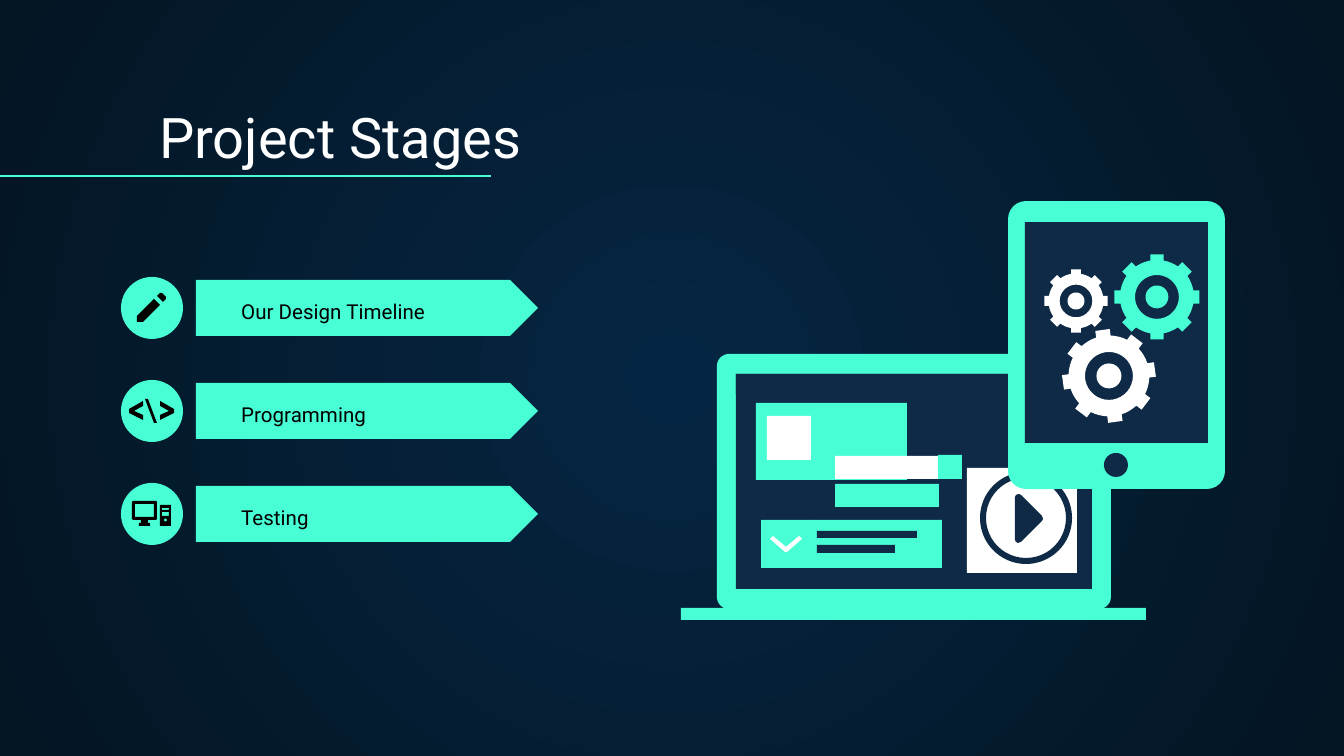
"""Build the Project Stages slide: three stage arrows beside a laptop and a tablet."""
from math import asin, cos, degrees, radians, sin

from lxml.etree import SubElement
from pptx import Presentation
from pptx.dml.color import RGBColor
from pptx.enum.shapes import MSO_CONNECTOR as Connector, MSO_SHAPE as Shape
from pptx.enum.text import MSO_ANCHOR as Anchor
from pptx.oxml.ns import qn
from pptx.util import Inches, Pt

PX = 914400 / 134.4
FONT = "Roboto"
COLORS = {
    "mint": "48FFD5", "navy": "0E2A47", "white": "FFFFFF", "black": "000000",
    "center": "052643", "edge": "041523",
}

TITLE = ("Project Stages", (146, 94, 1152, 89), 30, "white")
STAGES = ["Our Design Timeline", "Programming", "Testing"]
STAGE_TOP, STAGE_STEP = 280, 103

DEVICES = [
    (Shape.ROUNDED_RECTANGLE, (717, 354, 394, 255), "mint", 12),
    (Shape.RECTANGLE, (736, 374, 356, 215), "navy", 0),
    (Shape.RECTANGLE, (681, 608, 465, 12), "mint", 0),
    (Shape.RECTANGLE, (736, 374, 356, 20), "navy", 0),
    (Shape.RECTANGLE, (756, 403, 151, 77), "mint", 0),
    (Shape.RECTANGLE, (767, 416, 44, 44), "white", 0),
    (Shape.RECTANGLE, (809, 520, 133, 48), "mint", 0),
    (Shape.RECTANGLE, (817, 531, 100, 7), "navy", 0),
    (Shape.RECTANGLE, (817, 545, 78, 8), "navy", 0),
    (Shape.RECTANGLE, (761, 520, 48, 48), "mint", 0),
    (Shape.RECTANGLE, (835, 484, 104, 23), "mint", 0),
    (Shape.RECTANGLE, (835, 456, 104, 23), "white", 0),
    (Shape.RECTANGLE, (938, 455, 24, 24), "mint", 0),
    (Shape.RECTANGLE, (967, 468, 110, 105), "white", 0),
    (Shape.DONUT, (980, 472, 92, 92), "navy", 6),
    (Shape.ROUNDED_RECTANGLE, (1008, 201, 217, 288), "mint", 18),
    (Shape.RECTANGLE, (1025, 222, 183, 221), "navy", 0),
    (Shape.OVAL, (1104, 453, 24, 24), "navy", 0),
]
GEARS = [
    ((1157, 297), 43, 0, "mint"),
    ((1076, 301), 32, 0, "white"),
    ((1109, 376), 47, -8, "white"),
]
TEETH = 8

CHEVRON = [(773, 536), (786, 547), (799, 536), (802, 539), (787, 552), (785, 552), (770, 539)]
PLAY = [(1015, 497), (1016, 495), (1019, 494), (1021, 495), (1042, 516), (1043, 519),
        (1042, 521), (1021, 542), (1018, 543), (1016, 542), (1015, 540)]
PENCIL_HEAD = [(157, 296), (160, 293), (162, 293), (166, 297), (166, 299), (163, 302)]
PENCIL_BODY = [(154, 299), (137, 316), (137, 322), (143, 322), (160, 305)]
BRACKET = [(143, 420), (129, 413), (129, 409), (143, 401), (143, 406), (134, 411), (143, 415)]
SLASH = [(145, 399), (148, 399), (157, 423), (154, 423)]
MONITOR = [(133, 501), (156, 501), (157, 502), (157, 519), (156, 520), (148, 520), (148, 523),
           (150, 523), (150, 526), (139, 526), (139, 523), (141, 523), (141, 520), (133, 520),
           (132, 519), (132, 502)]


def px(length):
    return round(length * PX)


def color(name):
    return RGBColor.from_string(COLORS[name])


def polar(center, radius, angle):
    turn = radians(angle)
    return center[0] + radius * sin(turn), center[1] - radius * cos(turn)


def circle(center, radius):
    return [polar(center, radius, angle) for angle in range(0, 360, 10)]


def box(left, top, right, bottom):
    return [(left, top), (right, top), (right, bottom), (left, bottom)]


def gear(center, radius, tilt):
    root, half_tooth = 0.86, 0.155
    tip_angle = degrees(asin(half_tooth))
    root_angle = degrees(asin(half_tooth / root))
    pitch = 360 / TEETH
    valley = pitch - 2 * root_angle
    rim = []
    for tooth in range(TEETH):
        middle = tilt + tooth * pitch
        rim += [polar(center, radius, middle + side * tip_angle) for side in (-1, 1)]
        rim += [polar(center, radius * root, middle + root_angle + valley * step / 4)
                for step in range(5)]
    return [rim, circle(center, radius * 0.51), circle(center, radius * 0.265)]


def paint(shape, fill):
    shape.shadow.inherit = False
    shape.fill.solid()
    shape.fill.fore_color.rgb = color(fill)
    shape.line.fill.background()


def add_preset(slide, kind, frame, fill, edge=0):
    shape = slide.shapes.add_shape(kind, *map(px, frame))
    if edge:
        shape.adjustments[0] = edge / min(frame[2:])
    paint(shape, fill)


def add_outline(slide, contours, fill):
    builder = None
    for contour in contours:
        start, *rest = [(px(x), px(y)) for x, y in contour]
        if builder is None:
            builder = slide.shapes.build_freeform(*start, scale=1.0)
        else:
            builder.move_to(*start)
        builder.add_line_segments(rest, close=True)
    paint(builder.convert_to_shape(), fill)


def add_label(slide, text, frame, size, ink):
    text_frame = slide.shapes.add_textbox(*map(px, frame)).text_frame
    text_frame.word_wrap = True
    text_frame.vertical_anchor = Anchor.BOTTOM
    text_frame.margin_left = text_frame.margin_right = Inches(0.1)
    text_frame.margin_top = text_frame.margin_bottom = Inches(0.1)
    run = text_frame.paragraphs[0].add_run()
    run.text = text
    run.font.name, run.font.size = FONT, Pt(size)
    run.font.color.rgb = color(ink)


def set_background(slide):
    fill = slide.background.fill
    fill.gradient()
    for stop, name, position in zip(fill.gradient_stops, ("center", "edge"), (0, 1)):
        stop.color.rgb = color(name)
        stop.position = position
    gradient = slide.element.find(".//" + qn("a:gradFill"))
    gradient.remove(gradient.find(qn("a:lin")))
    radial = SubElement(gradient, qn("a:path"), {"path": "circle"})
    SubElement(radial, qn("a:fillToRect"), dict.fromkeys("ltrb", "50000"))


def add_title_rule(slide):
    rule = slide.shapes.add_connector(Connector.STRAIGHT, 0, px(176), px(491), px(176))
    rule.line.color.rgb = color("mint")
    rule.line.width = Pt(0.75)
    SubElement(rule.element.spPr, qn("a:effectLst"))


def main():
    deck = Presentation()
    deck.slide_width, deck.slide_height = px(1344), px(756)
    slide = deck.slides.add_slide(deck.slide_layouts[6])
    set_background(slide)
    add_label(slide, *TITLE)
    add_title_rule(slide)
    for row, stage in enumerate(STAGES):
        top = STAGE_TOP + row * STAGE_STEP
        add_preset(slide, Shape.PENTAGON, (196, top, 342, 56), "mint")
        add_preset(slide, Shape.OVAL, (121, top - 3, 62, 62), "mint")
        add_label(slide, stage, (228, top + 8, 305, 48), 11, "black")

    closing_bracket = [(303 - x, y) for x, y in BRACKET]
    tower = [box(160, 505, 171, 526), box(162, 508, 169, 510),
             box(162, 512, 169, 516), circle((165.5, 520), 1.5)]
    icons = [[PENCIL_HEAD, PENCIL_BODY], [BRACKET], [SLASH], [closing_bracket],
             [MONITOR, box(135, 504, 154, 517)], tower]
    for icon in icons:
        add_outline(slide, icon, "black")

    for device_part in DEVICES:
        add_preset(slide, *device_part)
    add_outline(slide, [CHEVRON], "white")
    add_outline(slide, [PLAY], "navy")
    for center, radius, tilt, fill in GEARS:
        add_outline(slide, gear(center, radius, tilt), fill)
    deck.save("out.pptx")


if __name__ == "__main__":
    main()
